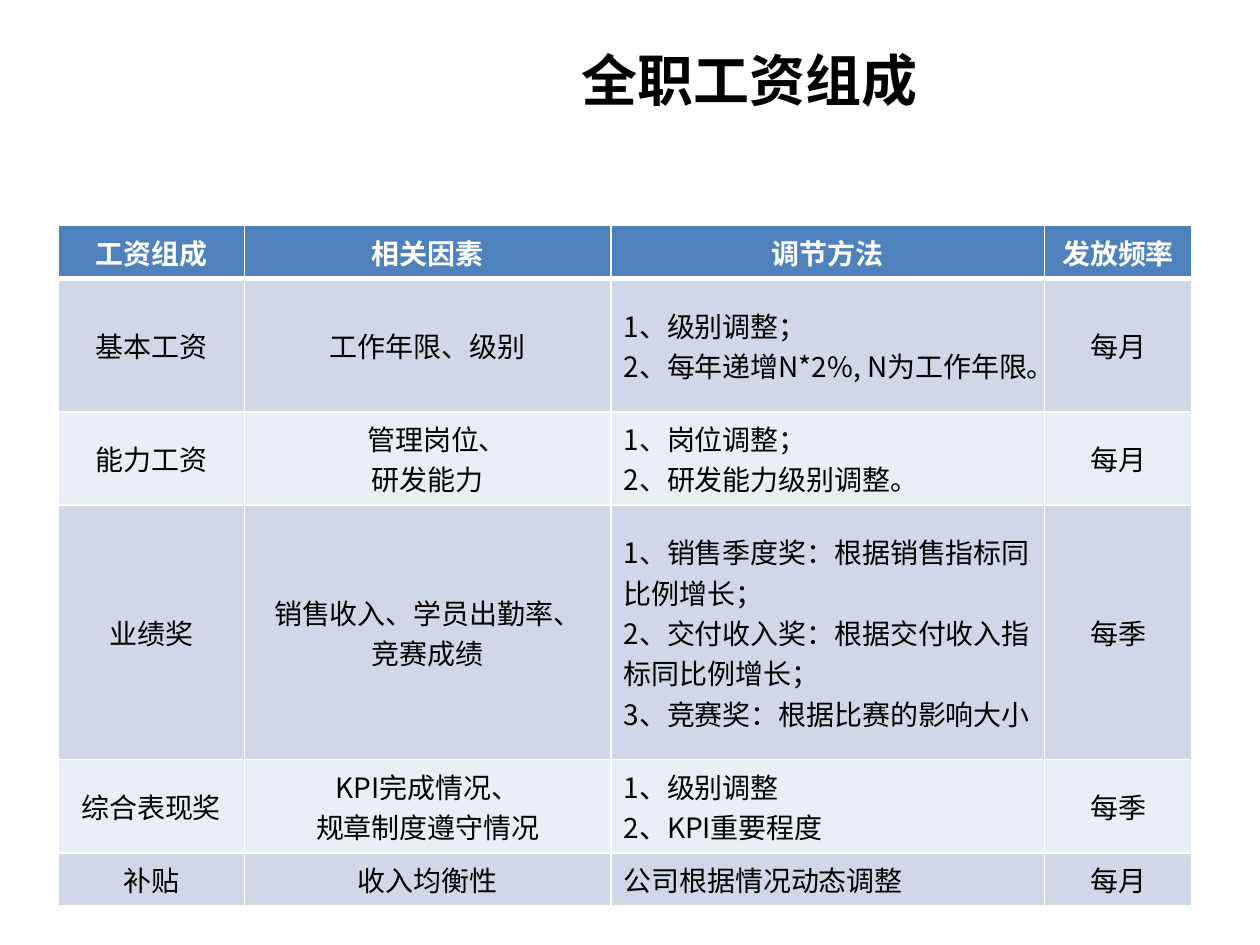
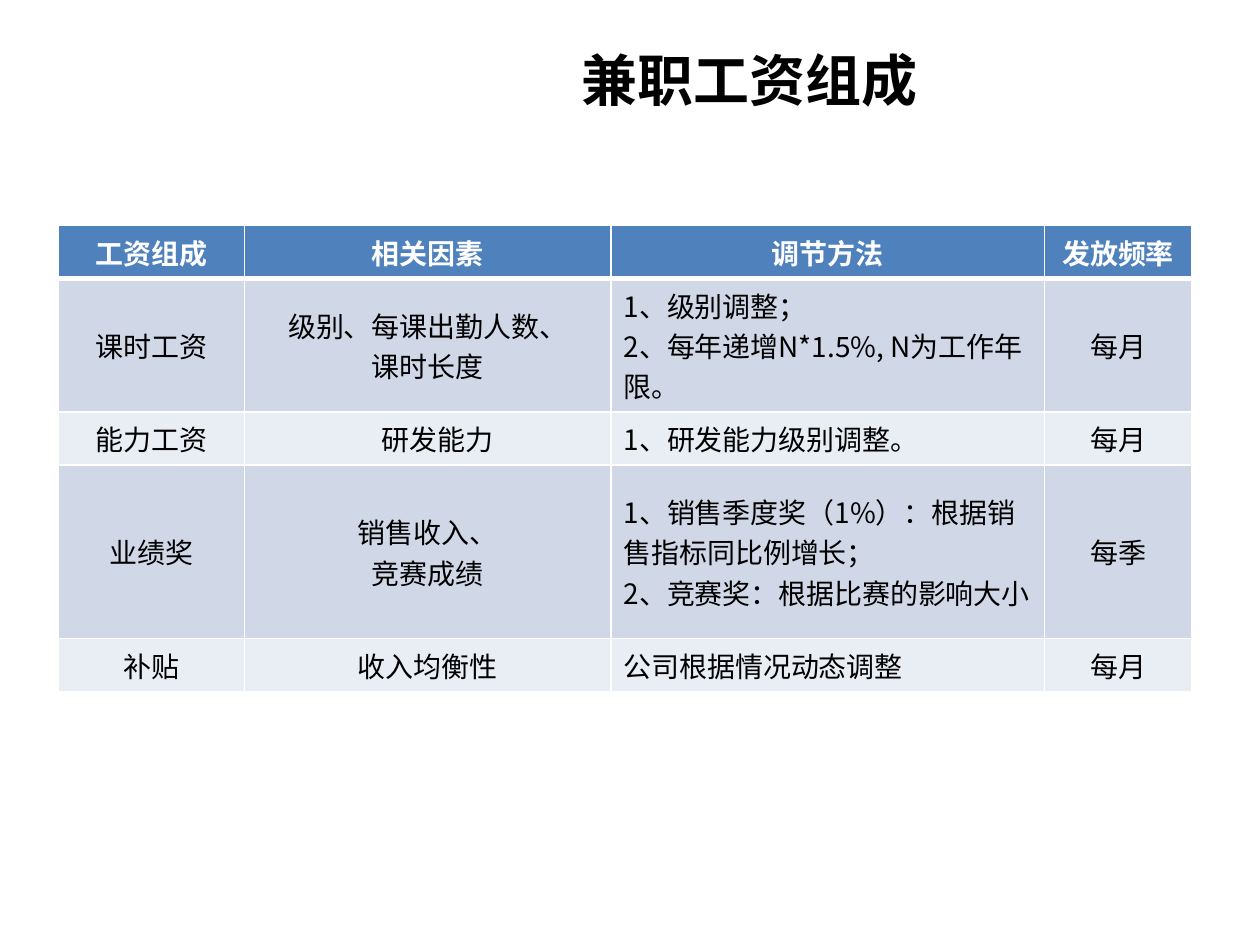
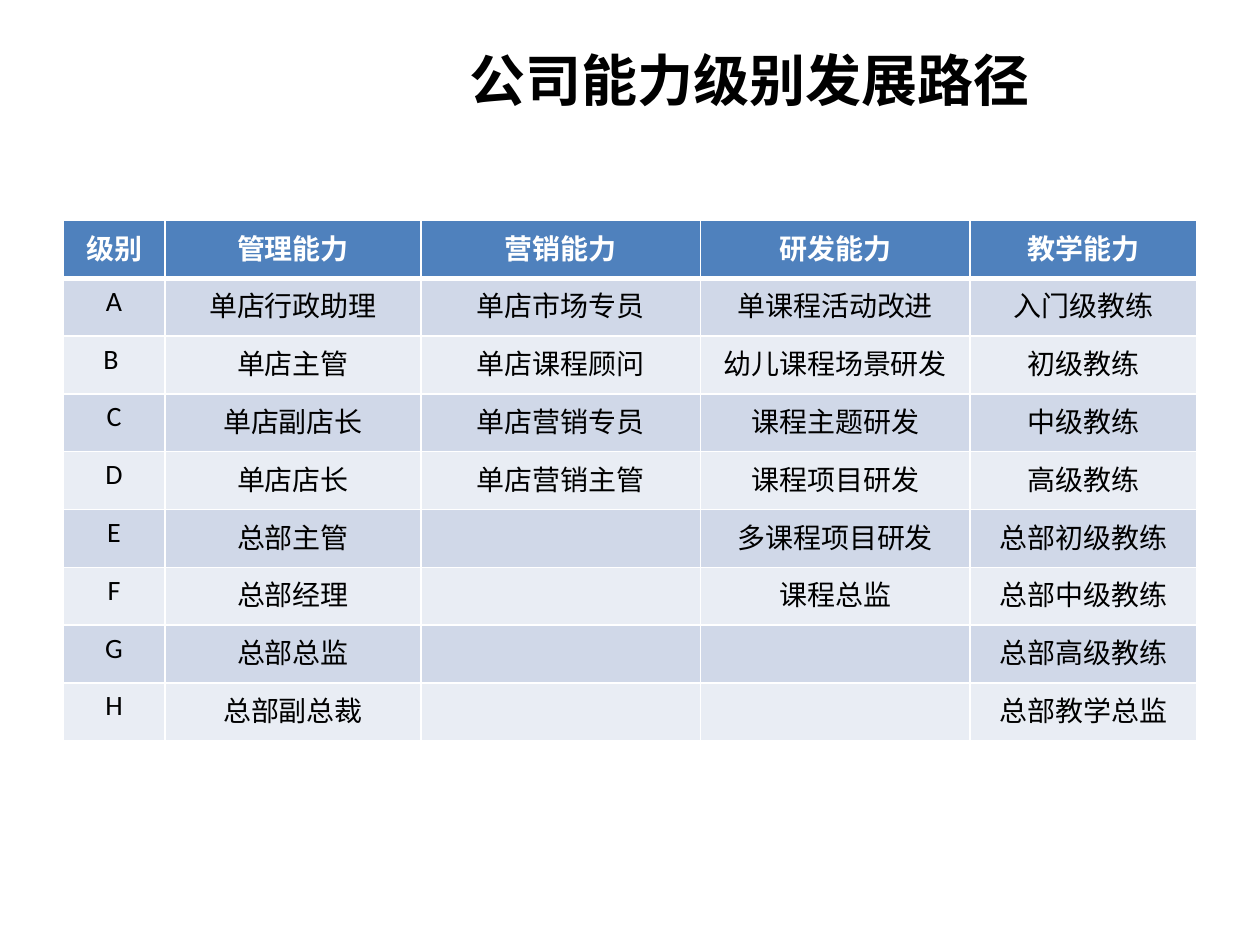
"""Builds three slides of pay and career tables."""
from dataclasses import dataclass

from lxml.etree import SubElement
from pptx import Presentation
from pptx.dml.color import RGBColor
from pptx.enum.text import MSO_ANCHOR, PP_ALIGN
from pptx.oxml import parse_xml
from pptx.oxml.ns import nsdecls, qn
from pptx.util import Inches, Pt


@dataclass(frozen=True)
class Theme:
    head: str = "4F81BD"
    bands: tuple[str, str] = ("D0D8E8", "E9EDF4")
    ink: str = "000000"
    paper: str = "FFFFFF"
    cjk: str = "Noto Sans CJK SC"
    latin: str = "Calibri"
    title: int = 32
    body: int = 16
    thin: int = 1
    thick: int = 3


@dataclass(frozen=True)
class Grid:
    title: str
    left: float
    top: float
    rows: tuple[float, ...]
    cols: tuple[float, ...]
    cells: tuple[tuple[str, ...], ...]
    font: str
    anchor: MSO_ANCHOR
    flush: int | None = None
    shift: tuple[int, int] | None = None


THEME = Theme()
PAY_COLS = (1.48, 2.91, 3.44, 1.17)
PAY_HEAD = ("工资组成", "相关因素", "调节方法", "发放频率")
EXTRA = ("补贴", "收入均衡性", "公司根据情况动态调整", "每月")


def pay_grid(title: str, lines: tuple[int, ...], cells: tuple[tuple[str, ...], ...]) -> Grid:
    rows = tuple(0.1 + 0.32 * count for count in (1, *lines, 1))
    return Grid(title, 0.46, 1.79, rows, PAY_COLS, (PAY_HEAD, *cells, EXTRA),
                THEME.cjk, MSO_ANCHOR.MIDDLE, flush=2, shift=(2, 1))


GRIDS = (
    pay_grid("全职工资组成", (3, 2, 6, 2), (
        ("基本工资", "工作年限、级别",
         "1、级别调整；\n2、每年递增N*2%, N为工作年限。", "每月"),
        ("能力工资", "管理岗位、\n研发能力",
         "1、岗位调整；\n2、研发能力级别调整。", "每月"),
        ("业绩奖", "销售收入、学员出勤率、\n竞赛成绩",
         "1、销售季度奖：根据销售指标同比例增长；\n"
         "2、交付收入奖：根据交付收入指标同比例增长；\n"
         "3、竞赛奖：根据比赛的影响大小", "每季"),
        ("综合表现奖", "KPI完成情况、\n规章制度遵守情况",
         "1、级别调整\n2、KPI重要程度", "每季"),
    )),
    pay_grid("兼职工资组成", (3, 1, 4), (
        ("课时工资", "级别、每课出勤人数、\n课时长度",
         "1、级别调整；\n2、每年递增N*1.5%, N为工作年限。", "每月"),
        ("能力工资", "研发能力", "1、研发能力级别调整。", "每月"),
        ("业绩奖", "销售收入、\n竞赛成绩",
         "1、销售季度奖（1%）：根据销售指标同比例增长；\n"
         "2、竞赛奖：根据比赛的影响大小", "每季"),
    )),
    Grid("公司能力级别发展路径", 0.5, 1.75, (4.13 / 9,) * 9, (0.81, 2.03, 2.22, 2.14, 1.8), (
        ("级别", "管理能力", "营销能力", "研发能力", "教学能力"),
        ("A", "单店行政助理", "单店市场专员", "单课程活动改进", "入门级教练"),
        ("B ", "单店主管", "单店课程顾问", "幼儿课程场景研发", "初级教练"),
        ("C", "单店副店长", "单店营销专员", "课程主题研发", "中级教练"),
        ("D", "单店店长", "单店营销主管", "课程项目研发", "高级教练"),
        ("E", "总部主管", "", "多课程项目研发", "总部初级教练"),
        ("F", "总部经理", "", "课程总监", "总部中级教练"),
        ("G", "总部总监", "", "", "总部高级教练"),
        ("H", "总部副总裁", "", "", "总部教学总监"),
    ), THEME.latin, MSO_ANCHOR.TOP),
)


def add_run(para, text: str, size: int, color: str, bold: bool, latin: str) -> None:
    run = para.add_run()
    run.text = text
    font = run.font
    font.size, font.bold, font.name = Pt(size), bold, latin
    font.color.rgb = RGBColor.from_string(color)
    props = run._r.get_or_add_rPr()
    props.set("lang", "zh-CN")
    SubElement(props, qn("a:ea")).set("typeface", THEME.cjk)


def add_title(slide, text: str) -> None:
    box = slide.shapes.add_textbox(Inches(2.33), Inches(0.17), Inches(7.24), Inches(0.91))
    frame = box.text_frame
    frame.word_wrap = True
    frame.vertical_anchor = MSO_ANCHOR.MIDDLE
    para = frame.paragraphs[0]
    para.alignment = PP_ALIGN.CENTER
    add_run(para, text, THEME.title, THEME.ink, True, THEME.cjk)


def add_edges(cell, top: int, base: int) -> None:
    edges = (("L", THEME.thin), ("R", THEME.thin), ("T", top), ("B", base))
    for spot, (side, width) in enumerate(edges):
        line = parse_xml(
            f'<a:ln{side} {nsdecls("a")} w="{Pt(width)}"><a:solidFill>'
            f'<a:srgbClr val="{THEME.paper}"/></a:solidFill></a:ln{side}>')
        cell._tc.get_or_add_tcPr().insert(spot, line)


def fill_cell(cell, grid: Grid, row: int, col: int) -> None:
    head = row == 0
    cell.fill.solid()
    cell.fill.fore_color.rgb = RGBColor.from_string(
        THEME.head if head else THEME.bands[(row - 1) % 2])
    add_edges(cell, THEME.thick if row == 1 else THEME.thin,
              THEME.thick if head else THEME.thin)
    cell.vertical_anchor = grid.anchor
    frame = cell.text_frame
    for count, text in enumerate(grid.cells[row][col].split("\n")):
        para = frame.add_paragraph() if count else frame.paragraphs[0]
        flush = col == grid.flush and not head
        para.alignment = PP_ALIGN.LEFT if flush else PP_ALIGN.CENTER
        para.font.size = Pt(THEME.body)
        if (row, col) == grid.shift and count == 0:
            para._p.get_or_add_pPr().set("marL", str(Inches(0.15)))
        if text:
            add_run(para, text, THEME.body, THEME.paper if head else THEME.ink,
                    head, grid.font)


def add_grid(slide, grid: Grid) -> None:
    shape = slide.shapes.add_table(
        len(grid.rows), len(grid.cols), Inches(grid.left), Inches(grid.top),
        Inches(sum(grid.cols)), Inches(sum(grid.rows)))
    table = shape.table
    for col, width in zip(table.columns, grid.cols):
        col.width = Inches(width)
    for row, height in zip(table.rows, grid.rows):
        row.height = Inches(height)
    for row, line in enumerate(grid.cells):
        for col in range(len(line)):
            fill_cell(table.cell(row, col), grid, row, col)


def main() -> None:
    deck = Presentation()
    deck.slide_width, deck.slide_height = Inches(10), Inches(7.5)
    for grid in GRIDS:
        slide = deck.slides.add_slide(deck.slide_layouts[6])
        add_title(slide, grid.title)
        add_grid(slide, grid)
    deck.save("out.pptx")


main()
